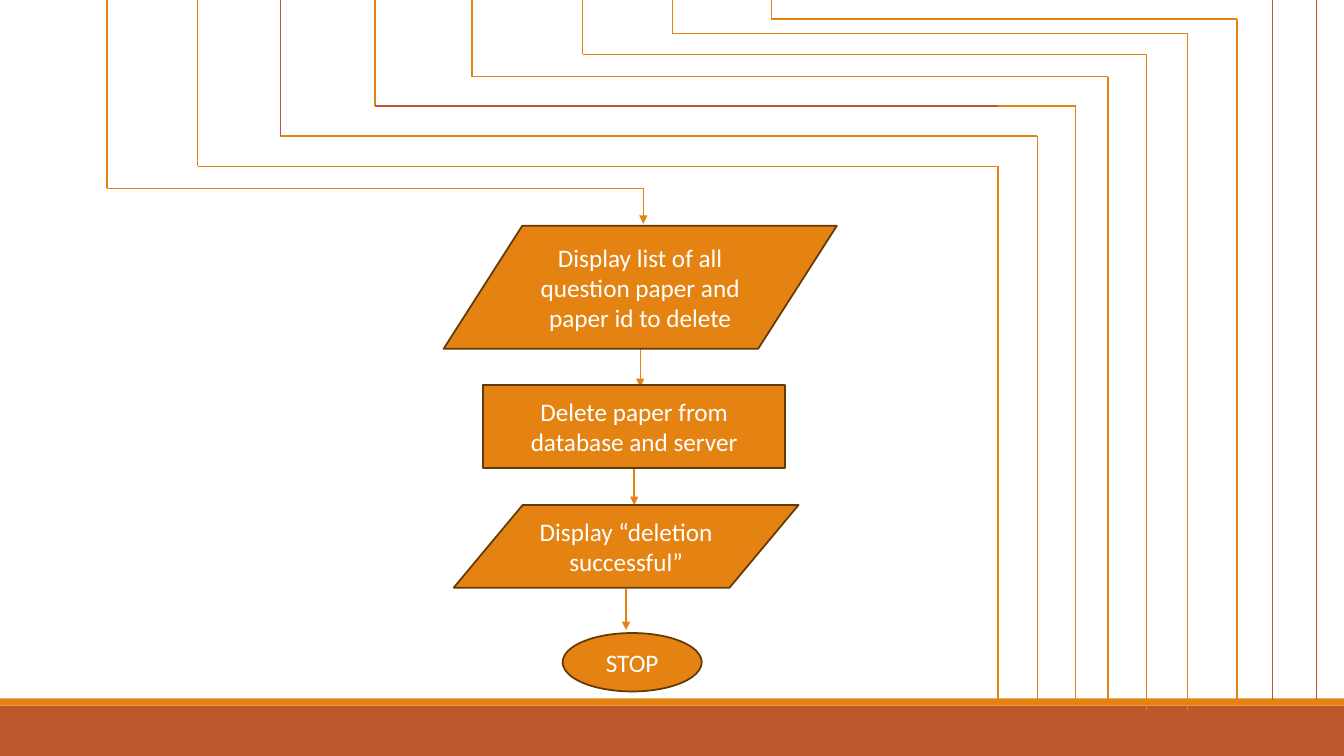
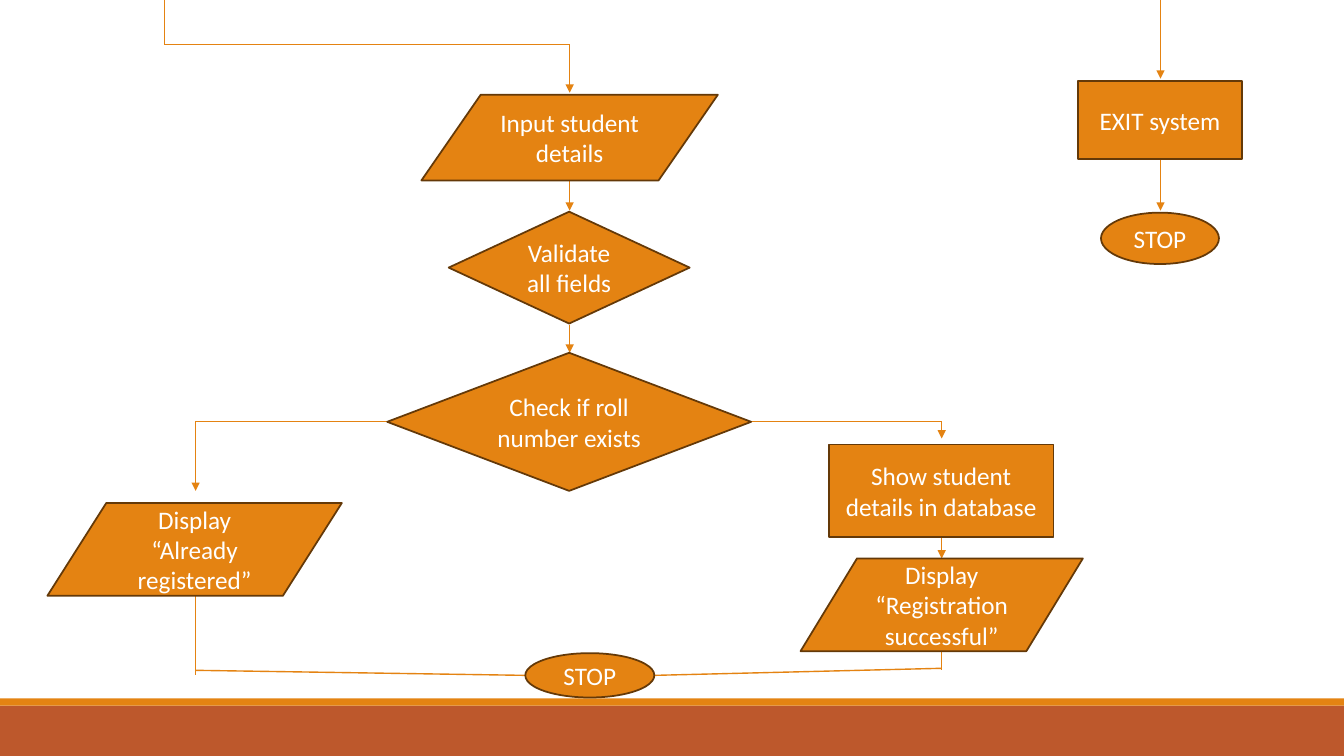
"""Build two flowchart slides: deleting a paper and registering a student."""
import itertools
from dataclasses import dataclass

import pptx
import pptx.util
from lxml import etree
from pptx.dml.color import RGBColor
from pptx.enum.shapes import MSO_CONNECTOR, MSO_SHAPE
from pptx.enum.text import MSO_ANCHOR, PP_ALIGN
from pptx.oxml.ns import qn

Inches, Pt = pptx.util.Inches, pptx.util.Pt


@dataclass(frozen=True)
class Theme:
    fill: str = "E48312"
    rust: str = "BD582C"
    edge: str = "643908"
    text: str = "FFFFFF"
    font: str = "Calibri"
    size: float = 18
    wire: float = 1
    rim: float = 1.25


THEME = Theme()
WIDE, HIGH = 13.33, 7.5
BANDS = [(7, 0.5, THEME.rust), (6.93, 0.07, THEME.fill)]

DATA = MSO_SHAPE.FLOWCHART_DATA
TEST = MSO_SHAPE.FLOWCHART_DECISION
STEP = MSO_SHAPE.RECTANGLE
STOP = MSO_SHAPE.OVAL

STAIRS = [
    (1.96, 1.65, 9.9, 6.96),
    (4.68, 0.76, 10.99, 6.94),
    (5.78, 0.54, 11.37, 7.04),
    (6.67, 0.33, 11.78, 7.04),
    (7.65, 0.19, 12.27, 6.94),
]

DELETE = {
    "wires": [[(a, 0), (a, y), (b, y), (b, end)] for a, y, b, end in STAIRS] + [
        [(2.78, 1.35), (10.29, 1.35), (10.29, 6.94)],
        [(3.72, 0), (3.72, 1.05)],
        [(9.9, 1.05), (10.67, 1.05), (10.67, 6.94)],
    ],
    "rusts": [
        [(2.78, 0), (2.78, 1.35)],
        [(3.72, 1.05), (9.9, 1.05)],
        [(12.62, 0), (12.62, 6.94)],
        [(13.06, 0), (13.06, 6.94)],
    ],
    "arrows": [
        [(1.06, 0), (1.06, 1.87), (6.38, 1.87), (6.38, 2.22)],
        [(6.35, 3.46), (6.35, 3.84)],
        [(6.29, 4.65), (6.29, 5.01)],
        [(6.21, 5.84), (6.21, 6.25)],
    ],
    "nodes": [
        (DATA, 4.4, 2.24, 3.9, 1.22,
         "Display list of all question paper and paper id to delete"),
        (STEP, 4.79, 3.82, 3, 0.82, "Delete paper from database and server"),
        (DATA, 4.5, 5.01, 3.42, 0.82, "Display “deletion successful”"),
        (STOP, 5.58, 6.28, 1.38, 0.58, "STOP"),
    ],
}

ENROL = {
    "wires": [
        [(9.34, 6.47), (9.34, 6.65)],
        [(9.34, 6.63), (6.49, 6.7)],
        [(1.94, 5.91), (1.94, 6.7)],
        [(1.94, 6.65), (5.21, 6.7)],
    ],
    "rusts": [],
    "arrows": [
        [(1.63, 0), (1.63, 0.44), (5.65, 0.44), (5.65, 0.92)],
        [(5.65, 1.78), (5.65, 2.09)],
        [(5.65, 3.22), (5.65, 3.5)],
        [(3.84, 4.18), (1.94, 4.18), (1.94, 4.87)],
        [(7.45, 4.18), (9.34, 4.18), (9.34, 4.35)],
        [(9.34, 5.33), (9.34, 5.54)],
        [(11.51, 0), (11.51, 0.78)],
        [(11.51, 1.58), (11.51, 2.09)],
    ],
    "nodes": [
        (DATA, 4.18, 0.94, 2.94, 0.85, "Input student details"),
        (TEST, 4.45, 2.1, 2.39, 1.11, "Validate all fields"),
        (TEST, 3.84, 3.5, 3.61, 1.37, "Check if roll number exists"),
        (DATA, 0.47, 4.99, 2.92, 0.92, "Display “Already registered”"),
        (STEP, 8.22, 4.41, 2.23, 0.92, "Show student details in database"),
        (DATA, 7.94, 5.54, 2.8, 0.92, "Display “Registration successful”"),
        (STOP, 5.21, 6.48, 1.28, 0.44, "STOP"),
        (STEP, 10.69, 0.8, 1.63, 0.78, "EXIT system"),
        (STOP, 10.92, 2.11, 1.17, 0.51, "STOP"),
    ],
}


def rgb(code):
    return RGBColor.from_string(code)


def add_box(slide, kind, x, y, w, h, fill):
    box = slide.shapes.add_shape(kind, *map(Inches, (x, y, w, h)))
    box.shadow.inherit = False
    box.fill.solid()
    box.fill.fore_color.rgb = rgb(fill)
    return box


def add_node(slide, kind, x, y, w, h, text):
    node = add_box(slide, kind, x, y, w, h, THEME.fill)
    node.line.color.rgb = rgb(THEME.edge)
    node.line.width = Pt(THEME.rim)
    frame = node.text_frame
    frame.word_wrap = True
    frame.vertical_anchor = MSO_ANCHOR.MIDDLE
    para = frame.paragraphs[0]
    para.text = text
    para.alignment = PP_ALIGN.CENTER
    para.font.name = THEME.font
    para.font.size = Pt(THEME.size)
    para.font.color.rgb = rgb(THEME.text)


def add_route(slide, points, color, arrow=False):
    for start, end in itertools.pairwise(points):
        wire = slide.shapes.add_connector(
            MSO_CONNECTOR.STRAIGHT, *map(Inches, start + end))
        wire.line.color.rgb = rgb(color)
        wire.line.width = Pt(THEME.wire)
        props = wire.element.spPr
        if arrow and end == points[-1]:
            etree.SubElement(props.find(qn("a:ln")), qn("a:tailEnd"), type="triangle")
        etree.SubElement(props, qn("a:effectLst"))


def add_bands(layout, slide):
    for holder in list(layout.placeholders):
        holder.element.getparent().remove(holder.element)
    for top, high, color in BANDS:
        band = add_box(slide, STEP, 0, top, WIDE, high, color)
        band.line.fill.background()
        layout.shapes.element.append(band.element)


def draw(slide, chart):
    for points in chart["wires"]:
        add_route(slide, points, THEME.fill)
    for points in chart["rusts"]:
        add_route(slide, points, THEME.rust)
    for points in chart["arrows"]:
        add_route(slide, points, THEME.fill, arrow=True)
    for node in chart["nodes"]:
        add_node(slide, *node)


def main():
    deck = pptx.Presentation()
    deck.slide_width, deck.slide_height = Inches(WIDE), Inches(HIGH)
    layout = deck.slide_layouts.get_by_name("Blank")
    slides = [deck.slides.add_slide(layout) for _ in range(2)]
    add_bands(layout, slides[0])
    for slide, chart in zip(slides, (DELETE, ENROL)):
        draw(slide, chart)
    deck.save("out.pptx")


if __name__ == "__main__":
    main()
